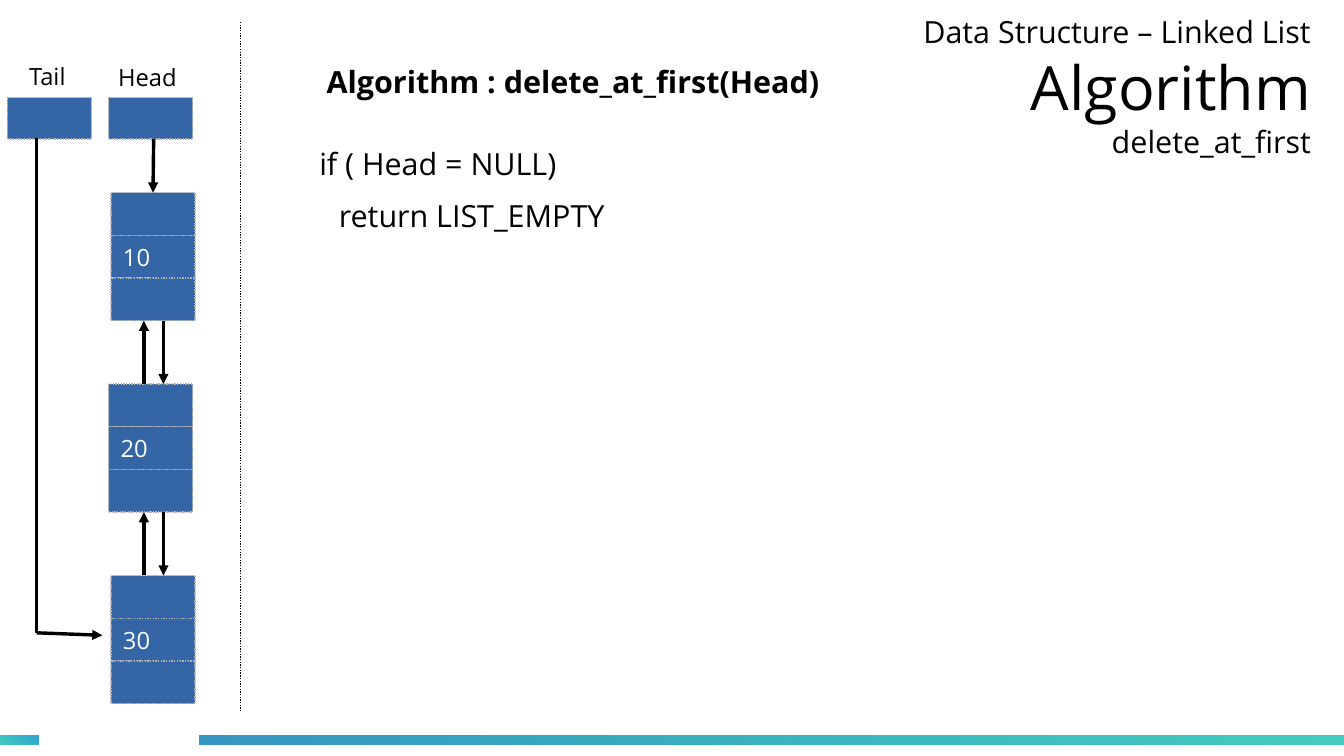
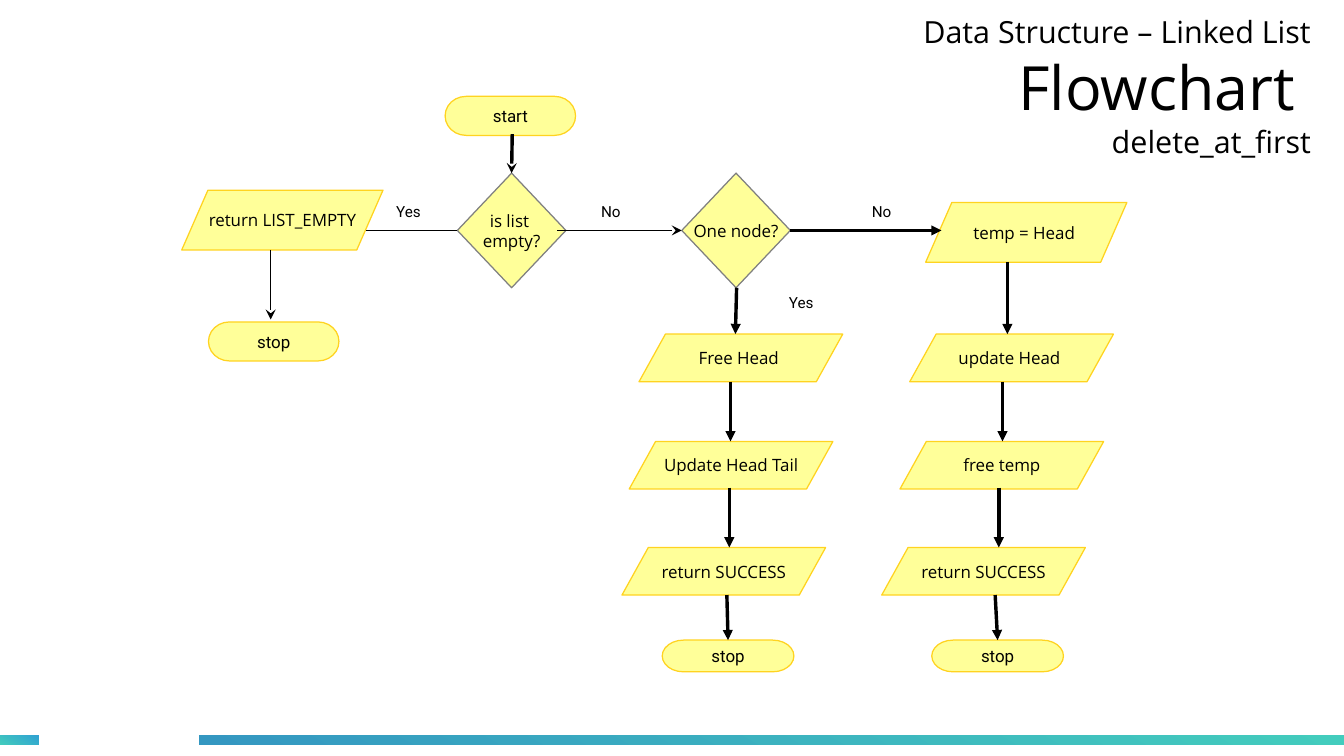
from dataclasses import dataclass
from typing import Optional

from lxml.etree import SubElement
from pptx import Presentation
from pptx.dml.color import RGBColor
from pptx.enum.dml import MSO_LINE
from pptx.enum.shapes import MSO_CONNECTOR, MSO_SHAPE
from pptx.enum.text import MSO_ANCHOR, PP_ALIGN
from pptx.oxml.ns import qn
from pptx.shapes.autoshape import Shape
from pptx.shapes.connector import Connector
from pptx.slide import Slide
from pptx.util import Inches, Pt

SANS, ROBOTO = "Open Sans", "Roboto"
BLACK, WHITE = "000000", "FFFFFF"
TEAL = "43CCBD"
NODE_FILL, NODE_LINE = "3465A4", "B2B2B2"
FLOW_FILL, FLOW_LINE, DECISION_LINE = "FFFF99", "FFD320", "808080"
TOP, LEFT, RIGHT = 0, 1, 3
CELL_W, CELL_H = 0.69, 0.35

Box = tuple[float, float, float, float]
Point = tuple[float, float]
Joint = tuple[Shape, int]


@dataclass(frozen=True)
class Label:
    text: str
    box: Box
    size: float
    font: str = SANS
    bold: bool = False
    wrap: bool = True


@dataclass(frozen=True)
class FlowKind:
    shape: MSO_SHAPE
    line: str = FLOW_LINE
    font: str = SANS
    slant: Optional[float] = None


@dataclass(frozen=True)
class FlowNode:
    name: str
    kind: FlowKind
    text: str
    box: Box


@dataclass(frozen=True)
class Arrow:
    start: Point
    end: Point
    head: Optional[str] = "triangle"
    width: float = 0
    begin_at: Optional[tuple[str, int]] = None
    end_at: Optional[tuple[str, int]] = None


TERMINATOR = FlowKind(MSO_SHAPE.FLOWCHART_TERMINATOR, font=ROBOTO)
DECISION = FlowKind(MSO_SHAPE.DIAMOND, line=DECISION_LINE)
TALL_STEP = FlowKind(MSO_SHAPE.PARALLELOGRAM, slant=0.438)
STEP = FlowKind(MSO_SHAPE.PARALLELOGRAM, slant=0.554)

FLOW_NODES = [
    FlowNode("start", TERMINATOR, "start", (3.65, 0.79, 1.07, 0.32)),
    FlowNode("empty stop", TERMINATOR, "stop", (1.71, 2.64, 1.07, 0.32)),
    FlowNode("is empty", DECISION, "is list \nempty?", (3.75, 1.42, 0.89, 0.94)),
    FlowNode("one node", DECISION, "One node?", (5.59, 1.42, 0.89, 0.94)),
    FlowNode("return empty", TALL_STEP, "return LIST_EMPTY", (1.49, 1.56, 1.65, 0.49)),
    FlowNode("temp", TALL_STEP, "temp = Head ", (7.59, 1.66, 1.65, 0.49)),
    FlowNode("free head", STEP, "Free Head ", (5.24, 2.74, 1.67, 0.39)),
    FlowNode("update both", STEP, "Update Head Tail", (5.16, 3.62, 1.67, 0.39)),
    FlowNode("one success", STEP, "return SUCCESS", (5.1, 4.49, 1.67, 0.39)),
    FlowNode("one stop", TERMINATOR, "stop", (5.43, 5.25, 1.08, 0.26)),
    FlowNode("update head", STEP, "update Head ", (7.46, 2.74, 1.67, 0.39)),
    FlowNode("free temp", STEP, "free temp", (7.38, 3.62, 1.67, 0.39)),
    FlowNode("many success", STEP, "return SUCCESS", (7.23, 4.49, 1.67, 0.39)),
    FlowNode("many stop", TERMINATOR, "stop", (7.64, 5.25, 1.08, 0.26)),
]

FLOW_ARROWS = [
    Arrow((4.2, 1.1), (4.2, 1.42), "stealth", end_at=("is empty", TOP)),
    Arrow((3.75, 1.89), (3, 1.89), None, 0.85, begin_at=("is empty", LEFT)),
    Arrow((2.22, 2.05), (2.22, 2.62), "stealth", 0.79),
    Arrow((4.57, 1.89), (5.59, 1.89), "stealth", 0.79, end_at=("one node", LEFT)),
    Arrow((6.48, 1.89), (7.72, 1.89), begin_at=("one node", RIGHT)),
    Arrow((6.04, 2.36), (6.03, 2.74)),
    Arrow((5.99, 3.13), (5.99, 3.62)),
    Arrow((5.98, 4), (5.98, 4.49)),
    Arrow((5.96, 4.88), (5.96, 5.25), end_at=("one stop", TOP)),
    Arrow((8.26, 2.15), (8.26, 2.74)),
    Arrow((8.22, 3.13), (8.22, 3.62)),
    Arrow((8.19, 4), (8.19, 4.49)),
    Arrow((8.16, 4.88), (8.16, 5.25), end_at=("many stop", TOP)),
]

FLOW_LABELS = [
    Label("Yes", (3.15, 1.61, 0.61, 0.32), 9, ROBOTO),
    Label("No", (4.83, 1.61, 0.43, 0.39), 9, ROBOTO),
    Label("No", (7.05, 1.61, 0.43, 0.39), 9, ROBOTO),
    Label("Yes", (6.37, 2.36, 0.61, 0.27), 9, ROBOTO),
]

ALGORITHM_LABELS = [
    Label("Tail", (0.14, 0.46, 0.64, 0.36), 14, wrap=False),
    Label("Head", (0.87, 0.47, 0.74, 0.36), 14, wrap=False),
    Label("Algorithm : delete_at_first(Head)", (2.58, 0.47, 5.22, 0.68), 18, bold=True),
    Label("if ( Head = NULL)", (2.52, 1.14, 3.07, 0.68), 18),
    Label("return LIST_EMPTY", (2.68, 1.57, 2.68, 0.44), 18),
]


def rgb(colour: str) -> RGBColor:
    return RGBColor.from_string(colour)


def inches(values: tuple[float, ...]) -> list[Inches]:
    return [Inches(v) for v in values]


def write(s: Shape, text: str, size: float, font: str = SANS,
          colour: str = BLACK, bold: bool = False) -> None:
    """Fill the shape with text, one paragraph per line."""
    tf = s.text_frame
    tf.text = text
    for p in tf.paragraphs:
        p.font.name, p.font.size, p.font.bold = font, Pt(size), bold
        p.font.color.rgb = rgb(colour)


def add_label(slide: Slide, label: Label) -> None:
    s = slide.shapes.add_textbox(*inches(label.box))
    s.text_frame.word_wrap = label.wrap
    write(s, label.text, label.size, label.font, bold=label.bold)


def add_block(slide: Slide, shape: MSO_SHAPE, box: Box, fill: str,
              line: str, width: float = 0) -> Shape:
    """Add a filled, outlined shape with centred text that does not wrap."""
    s = slide.shapes.add_shape(shape, *inches(box))
    s.shadow.inherit = False
    s.fill.solid()
    s.fill.fore_color.rgb = rgb(fill)
    s.line.color.rgb = rgb(line)
    s.line.width = Pt(width)
    s.text_frame.word_wrap = False
    s.text_frame.vertical_anchor = MSO_ANCHOR.MIDDLE
    return s


def add_line(slide: Slide, start: Point, end: Point, head: Optional[str] = None,
             width: float = 0, begin: Optional[Joint] = None,
             finish: Optional[Joint] = None) -> Connector:
    c = slide.shapes.add_connector(MSO_CONNECTOR.STRAIGHT, *inches(start + end))
    c.line.color.rgb = rgb(BLACK)
    c.line.width = Pt(width)
    if head:
        SubElement(c.line._get_or_add_ln(), qn("a:tailEnd"), type=head)
    SubElement(c._element.spPr, qn("a:effectLst"))
    if begin:
        c.begin_connect(*begin)
    if finish:
        c.end_connect(*finish)
    return c


def add_footer_bar(slide: Slide, left: float, width: float, first: str, last: str) -> None:
    s = slide.shapes.add_shape(MSO_SHAPE.RECTANGLE, *inches((left, 6.03, width, 0.08)))
    s.shadow.inherit = False
    s.line.fill.background()
    s.fill.gradient()
    s.fill.gradient_angle = 60
    for stop, colour in zip(s.fill.gradient_stops, (first, last)):
        stop.color.rgb = rgb(colour)


def add_title(slide: Slide, heading: str) -> None:
    s = slide.shapes.add_textbox(*inches((7.29, -0.02, 3.46, 1.45)))
    tf = s.text_frame
    tf.word_wrap = True
    tf.vertical_anchor = MSO_ANCHOR.MIDDLE
    tf.margin_left = tf.margin_top = tf.margin_right = tf.margin_bottom = 0
    p = tf.paragraphs[0]
    p.alignment = PP_ALIGN.RIGHT
    p.font.name = SANS
    p.font.color.rgb = rgb(BLACK)
    lines = [("Data Structure – Linked List", 18), (heading, 36), ("delete_at_first", 18)]
    for i, (text, size) in enumerate(lines):
        if i:
            p.add_line_break()
        r = p.add_run()
        r.text = text
        r.font.size = Pt(size)


def new_slide(prs: Presentation, heading: str) -> Slide:
    """Add a blank slide with the shared footer bars and title."""
    slide = prs.slides.add_slide(prs.slide_layouts[6])
    add_footer_bar(slide, 0, 0.32, TEAL, "30A2D2")
    add_footer_bar(slide, 1.63, 9.4, "3497C1", TEAL)
    add_title(slide, heading)
    return slide


def add_cell(slide: Slide, left: float, top: float, height: float = CELL_H) -> Shape:
    s = add_block(slide, MSO_SHAPE.RECTANGLE, (left, top, CELL_W, height),
                  NODE_FILL, NODE_LINE, 0.79)
    s.line.dash_style = MSO_LINE.ROUND_DOT
    return s


def add_list_node(slide: Slide, left: float, top: float, value: str) -> Shape:
    """Stack three cells with the value in the middle one; return the top cell."""
    cells = [add_cell(slide, left, top + i * CELL_H) for i in range(3)]
    write(cells[1], value, 14, colour=WHITE)
    return cells[0]


def build_algorithm(prs: Presentation) -> None:
    slide = new_slide(prs, "Algorithm")
    divider = add_line(slide, (1.97, 0.18), (1.97, 5.83), width=0.79)
    divider.line.dash_style = MSO_LINE.ROUND_DOT

    for left in (0.06, 0.89):
        add_cell(slide, left, 0.8, 0.34)
    first_top, pitch, node_h = 1.58, 1.57, 3 * CELL_H
    tops = [first_top + i * pitch for i in range(3)]
    first, *_ = [add_list_node(slide, left, top, value)
                 for left, top, value in zip((0.91, 0.89, 0.91), tops, ("10", "20", "30"))]

    add_line(slide, (1.26, 1.14), (1.26, first_top), "triangle", finish=(first, TOP))
    for upper, lower in zip(tops, tops[1:]):
        add_line(slide, (1.34, upper + node_h), (1.34, lower), "triangle")
        add_line(slide, (1.18, lower), (1.18, upper + node_h), "triangle")
    add_line(slide, (0.3, 1.13), (0.3, 5.19))
    add_line(slide, (0.3, 5.19), (0.84, 5.21), "triangle")

    for label in ALGORITHM_LABELS:
        add_label(slide, label)


def build_flowchart(prs: Presentation) -> None:
    slide = new_slide(prs, "Flowchart ")
    shapes: dict[str, Shape] = {}
    for node in FLOW_NODES:
        kind = node.kind
        s = add_block(slide, kind.shape, node.box, FLOW_FILL, kind.line)
        if kind.slant is not None:
            s.adjustments[0] = kind.slant
        write(s, node.text, 10, kind.font)
        for p in s.text_frame.paragraphs:
            p.alignment = PP_ALIGN.CENTER
        shapes[node.name] = s

    def joint(at: Optional[tuple[str, int]]) -> Optional[Joint]:
        return (shapes[at[0]], at[1]) if at else None

    for a in FLOW_ARROWS:
        add_line(slide, a.start, a.end, a.head, a.width, joint(a.begin_at), joint(a.end_at))
    for label in FLOW_LABELS:
        add_label(slide, label)


def main() -> None:
    prs = Presentation()
    prs.slide_width, prs.slide_height = Inches(11.02), Inches(6.2)
    build_algorithm(prs)
    build_flowchart(prs)
    prs.save("out.pptx")


if __name__ == "__main__":
    main()
